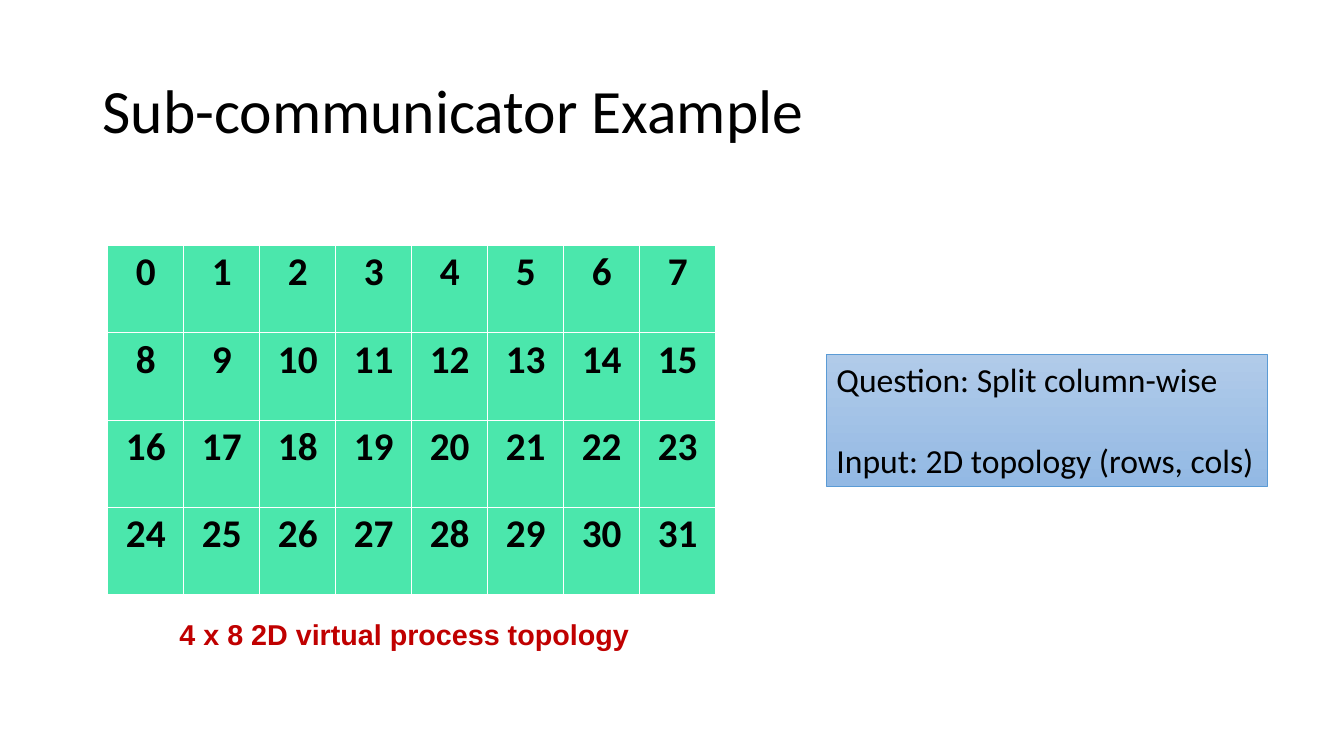
import pptx
import pptx.dml.color
import pptx.enum.shapes
import pptx.enum.text
import pptx.oxml
import pptx.oxml.ns
import pptx.util

Pt = pptx.util.Pt
RGBColor = pptx.dml.color.RGBColor
PP_ALIGN = pptx.enum.text.PP_ALIGN
MSO_ANCHOR = pptx.enum.text.MSO_ANCHOR

BLACK = RGBColor(0x00, 0x00, 0x00)
WHITE = RGBColor(0xFF, 0xFF, 0xFF)
GREEN = RGBColor(0x4B, 0xE7, 0xAC)
RED = RGBColor(0xC0, 0x00, 0x00)
BLUE_LINE = RGBColor(0x5B, 0x9B, 0xD5)
BLUE_TOP = RGBColor(0xB1, 0xCB, 0xE9)
BLUE_BOTTOM = RGBColor(0x93, 0xB9, 0xE4)

TITLE_FONT = {"name": "Calibri", "size": Pt(44), "color": BLACK}
RANK_FONT = {"name": "Calibri", "size": Pt(28), "bold": True, "color": BLACK}
CAPTION_FONT = {"name": "Arial", "size": Pt(20.5), "bold": True, "color": RED}
QUESTION_FONT = {"name": "Calibri", "size": Pt(24), "color": BLACK}


def format_paragraph(paragraph, font_values, alignment=PP_ALIGN.LEFT):
    paragraph.alignment = alignment
    for name, value in font_values.items():
        if name == "color":
            paragraph.font.color.rgb = value
        else:
            setattr(paragraph.font, name, value)


def add_title(slide, box, text):
    title = slide.shapes.title
    for name, value in zip(("left", "top", "width", "height"), box):
        setattr(title, name, Pt(value))
    title.text_frame.text = text
    title.text_frame.vertical_anchor = MSO_ANCHOR.MIDDLE
    paragraph = title.text_frame.paragraphs[0]
    paragraph.line_spacing = 0.9
    format_paragraph(paragraph, TITLE_FONT)


def add_cell_borders(cell, color, width):
    properties = cell._tc.get_or_add_tcPr()
    for side in ("lnL", "lnR", "lnT", "lnB"):
        properties.append(pptx.oxml.parse_xml(
            f'<a:{side} {pptx.oxml.ns.nsdecls("a")} w="{Pt(width)}">'
            f'<a:solidFill><a:srgbClr val="{color}"/></a:solidFill></a:{side}>'))


def add_process_grid(slide, box, row_count, column_count):
    """Number the processes of the topology row by row."""
    left, top, width, height = box
    table = slide.shapes.add_table(
        row_count, column_count, Pt(left), Pt(top), Pt(width), Pt(height)).table
    table.first_row = False
    table.horz_banding = False
    for column in table.columns:
        column.width = Pt(width / column_count)
    for row in table.rows:
        row.height = Pt(height / row_count)
    for rank, cell in enumerate(table.iter_cells()):
        cell.text = str(rank)
        cell.margin_left = cell.margin_right = Pt(4.5)
        cell.margin_top = cell.margin_bottom = Pt(2.25)
        add_cell_borders(cell, WHITE, 1)
        cell.fill.solid()
        cell.fill.fore_color.rgb = GREEN
        format_paragraph(cell.text_frame.paragraphs[0], RANK_FONT, PP_ALIGN.CENTER)


def add_caption(slide, box, text):
    caption = slide.shapes.add_textbox(*map(Pt, box))
    caption.text_frame.word_wrap = False
    caption.text_frame.text = text
    format_paragraph(caption.text_frame.paragraphs[0], CAPTION_FONT, PP_ALIGN.CENTER)


def add_question(slide, box, lines):
    shape = slide.shapes.add_shape(
        pptx.enum.shapes.MSO_SHAPE.RECTANGLE, *map(Pt, box))
    shape.shadow.inherit = False
    shape.fill.gradient()
    shape.fill.gradient_angle = 270
    for stop, color in zip(shape.fill.gradient_stops, (BLUE_TOP, BLUE_BOTTOM)):
        stop.color.rgb = color
    shape.line.color.rgb = BLUE_LINE
    shape.line.width = Pt(0.5)
    frame = shape.text_frame
    frame.word_wrap = False
    frame.vertical_anchor = MSO_ANCHOR.TOP
    frame.text = "\n".join(lines)
    for index, paragraph in enumerate(frame.paragraphs):
        format_paragraph(paragraph, QUESTION_FONT)
        if index:
            paragraph.space_before = Pt(29)


def main():
    presentation = pptx.Presentation()
    presentation.slide_width = Pt(960)
    presentation.slide_height = Pt(540)
    slide = presentation.slides.add_slide(presentation.slide_layouts[5])
    add_title(slide, (66, 28.75, 828, 104.4), "Sub-communicator Example")
    add_process_grid(slide, (77, 175.3, 434.4, 249.6), 4, 8)
    add_caption(slide, (119.5, 437, 339, 32.4), "4 x 8 2D virtual process topology")
    add_question(slide, (590.4, 252.9, 314.6, 94.5),
                 ("Question: Split column-wise", "Input: 2D topology (rows, cols)"))
    presentation.save("out.pptx")


if __name__ == "__main__":
    main()
